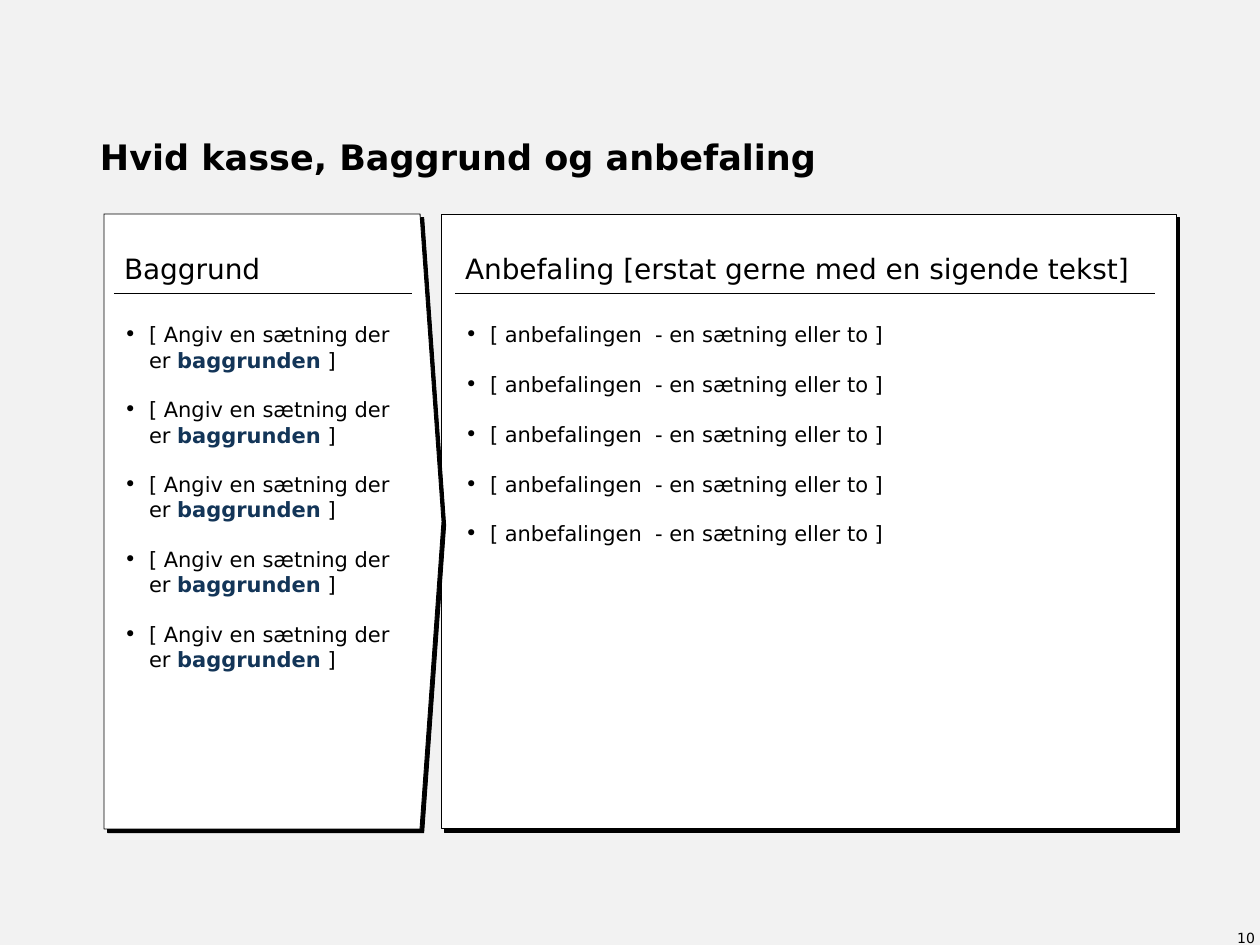
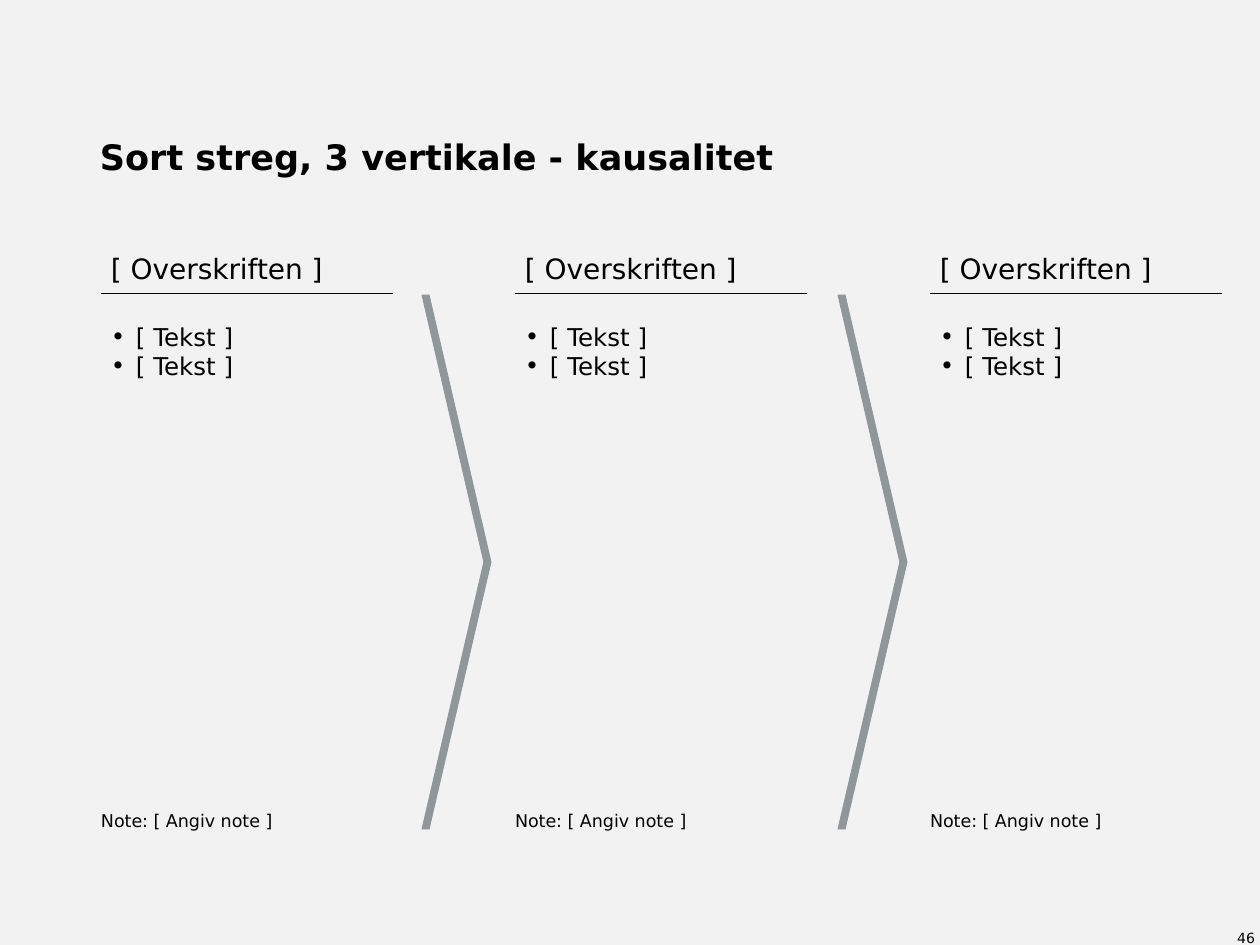
from lxml import etree
from pptx import Presentation
from pptx.dml.color import RGBColor
from pptx.enum.shapes import MSO_CONNECTOR, MSO_SHAPE
from pptx.enum.text import MSO_ANCHOR, PP_ALIGN
from pptx.oxml.ns import qn
from pptx.util import Emu, Pt

PX = 914400 / 126
FONT = "DejaVu Sans"
PAPER, WHITE, BLACK, NAVY, GREY = "F2F2F2", "FFFFFF", "000000", "133558", "90979B"
RECTANGLE, PENTAGON, CHEVRON = MSO_SHAPE.RECTANGLE, MSO_SHAPE.PENTAGON, MSO_SHAPE.CHEVRON
STRAIGHT = MSO_CONNECTOR.STRAIGHT
TOP, BOTTOM = MSO_ANCHOR.TOP, MSO_ANCHOR.BOTTOM
LEFT, RIGHT = PP_ALIGN.LEFT, PP_ALIGN.RIGHT

COLUMN_TOP, RULE_Y, BODY_TOP, BODY_HEIGHT = 214, 293, 314, 495
PANEL_HEIGHT = 615


def px(value):
    return Emu(round(value * PX))


def color(value):
    return RGBColor.from_string(value)


class SlideBuilder:
    def __init__(self):
        self.deck = Presentation()
        self.deck.slide_width = px(1260)
        self.deck.slide_height = px(945)
        self.slide = None

    def new_slide(self, title, number):
        self.slide = self.deck.slides.add_slide(self.deck.slide_layouts[6])
        background = self.slide.background.fill
        background.solid()
        background.fore_color.rgb = color(PAPER)
        self.text((100, 74, 1061, 105), [[(title, BLACK, True)]], 20,
                  anchor=BOTTOM, line_spacing=0.96)
        self.text((961, 927, 294, 19), [[(number, BLACK, False)]], 8,
                  align=RIGHT, line_spacing=1.15)

    def text(self, area, paragraphs, size, anchor=TOP, align=LEFT, inset=(0, 0),
             bullet=False, gap=0, line_spacing=None):
        box = self.slide.shapes.add_textbox(*map(px, area))
        frame = box.text_frame
        frame.word_wrap = True
        frame.vertical_anchor = anchor
        frame.margin_left = frame.margin_right = px(inset[0])
        frame.margin_top = frame.margin_bottom = px(inset[1])
        for index, spans in enumerate(paragraphs):
            para = frame.paragraphs[0] if index == 0 else frame.add_paragraph()
            para.alignment = align
            if line_spacing:
                para.line_spacing = line_spacing
            if gap and index:
                para.space_before = Pt(gap)
            if bullet:
                self.bullet(para)
            for words, tone, bold in spans:
                span = para.add_run()
                span.text = words
                span.font.name = FONT
                span.font.size = Pt(size)
                span.font.bold = bold
                span.font.color.rgb = color(tone)

    def bullet(self, para):
        properties = para._p.get_or_add_pPr()
        properties.set("marL", str(px(25)))
        properties.set("indent", str(px(-25)))
        etree.SubElement(properties, qn("a:buFont"), typeface=FONT)
        etree.SubElement(properties, qn("a:buChar"), char="•")

    def shape(self, kind, area, fill, line, adjustment=None, shadow=False):
        shape = self.slide.shapes.add_shape(kind, *map(px, area))
        shape.shadow.inherit = False
        shape.fill.solid()
        shape.fill.fore_color.rgb = color(fill)
        shape.line.color.rgb = color(line)
        shape.line.width = Pt(0.5)
        if adjustment is not None:
            shape.adjustments[0] = adjustment
        if shadow:
            effects = shape._element.spPr.find(qn("a:effectLst"))
            outer = etree.SubElement(effects, qn("a:outerShdw"), blurRad="0",
                                     dist=str(Pt(3)), dir="2700000",
                                     algn="tl", rotWithShape="0")
            etree.SubElement(outer, qn("a:srgbClr"), val=BLACK)

    def rule(self, left, width):
        line = self.slide.shapes.add_connector(
            STRAIGHT, px(left), px(RULE_Y), px(left + width), px(RULE_Y))
        line.line.color.rgb = color(BLACK)
        line.line.width = Pt(0.5)
        etree.SubElement(line._element.spPr, qn("a:effectLst"))

    def column(self, left, width, heading, items, size, gap=0):
        self.rule(left, width)
        self.text((left, COLUMN_TOP, width, RULE_Y - COLUMN_TOP),
                  [[(heading, BLACK, False)]], 16, anchor=BOTTOM, inset=(10, 8))
        self.text((left, BODY_TOP, width, BODY_HEIGHT), items, size,
                  inset=(10, 8), bullet=True, gap=gap)


def background_and_recommendation(builder):
    builder.new_slide("Hvid kasse, Baggrund og anbefaling", "10")
    recommendation = [("[ anbefalingen  - en sætning eller to ]", BLACK, False)]
    background = [("[ Angiv en sætning der er ", BLACK, False),
                  ("baggrunden", NAVY, True), (" ]", BLACK, False)]
    builder.shape(RECTANGLE, (441, COLUMN_TOP, 735, PANEL_HEIGHT), WHITE, BLACK, shadow=True)
    builder.column(455, 700, "Anbefaling [erstat gerne med en sigende tekst]",
                   [recommendation] * 5, 12, gap=14)
    builder.shape(PENTAGON, (104, COLUMN_TOP, 338, PANEL_HEIGHT), WHITE, BLACK,
                  adjustment=0.065, shadow=True)
    builder.column(114, 298, "Baggrund", [background] * 5, 12, gap=14)


def three_step_causality(builder):
    builder.new_slide("Sort streg, 3 vertikale - kausalitet", "46")
    item = [("[ Tekst ]", BLACK, False)]
    for step in reversed(range(3)):
        left = 101 + step * 829 // 2
        builder.column(left, 292, "[ Overskriften ]", [item] * 2, 14)
        builder.text((left, 810, 295, 21), [[("Note: [ Angiv note ]", BLACK, False)]], 10)
    for step in range(2):
        builder.shape(CHEVRON, (422 + step * 416, 295, 69, 534), GREY, GREY, adjustment=0.897)


def main():
    builder = SlideBuilder()
    background_and_recommendation(builder)
    three_step_causality(builder)
    builder.deck.save("out.pptx")


if __name__ == "__main__":
    main()
